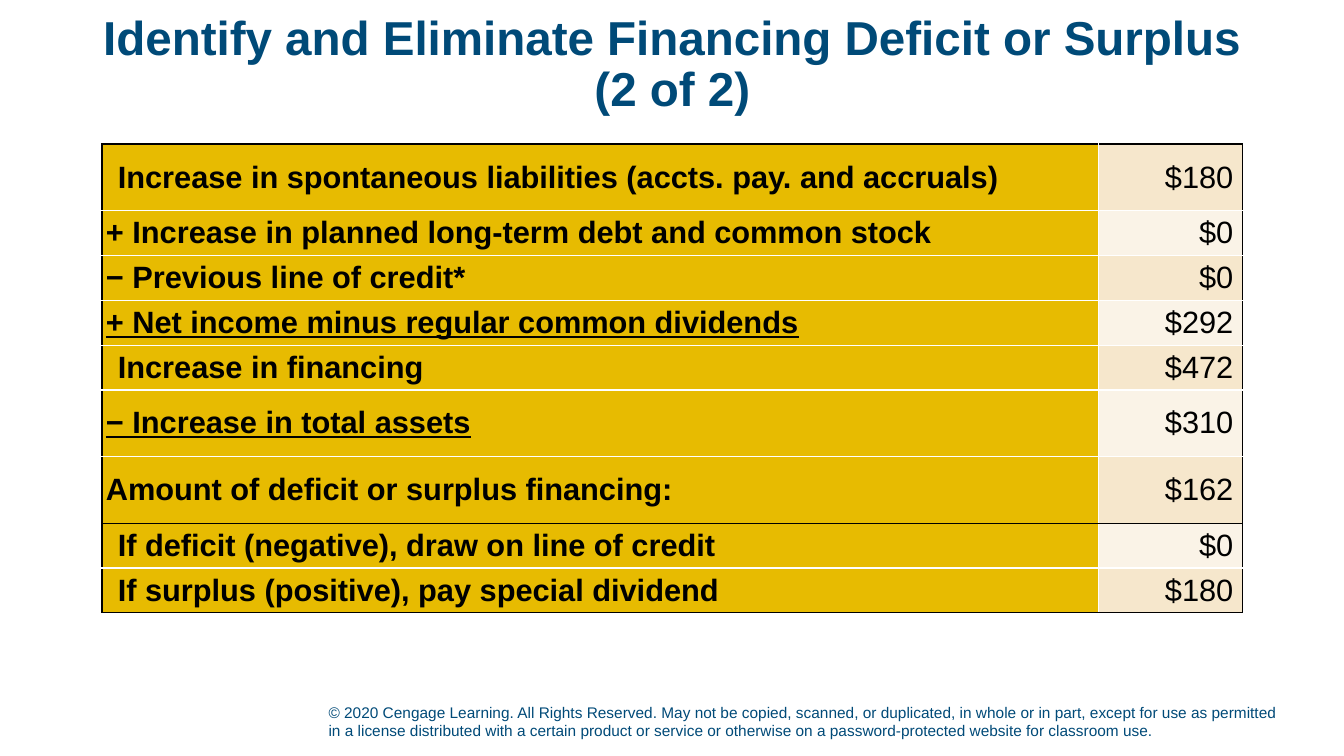
from typing import NamedTuple

from lxml import etree
from pptx import Presentation
from pptx.dml.color import RGBColor
from pptx.enum import text as t
from pptx.oxml import ns
from pptx.util import Cm, Pt

NAVY, BLACK, WHITE = "004A78", "000000", "FFFFFF"
GOLD, BANDS = "E7BB01", ("F6E7CC", "FAF3E7")
TALL, SHORT = 1.68, 1.13
LABEL_WIDTH, AMOUNT_WIDTH = 25.12, 3.63
STEP_INDENT = 0.3


class Line(NamedTuple):
    label: str
    amount: str
    height: float = SHORT
    indented: bool = False
    underlined: bool = False
    rule_below: bool = False


LINES = [
    Line("Increase in spontaneous liabilities (accts. pay. and accruals)", "$180", TALL, indented=True),
    Line("+ Increase in planned long-term debt and common stock", "$0"),
    Line("− Previous line of credit*", "$0"),
    Line("+ Net income minus regular common dividends", "$292", underlined=True),
    Line("Increase in financing", "$472", indented=True),
    Line("− Increase in total assets", "$310", TALL, underlined=True),
    Line("Amount of deficit or surplus financing:", "$162", TALL, rule_below=True),
    Line("If deficit (negative), draw on line of credit", "$0", indented=True),
    Line("If surplus (positive), pay special dividend", "$180", indented=True, rule_below=True),
]


def rgb(value: str) -> RGBColor:
    return RGBColor.from_string(value)


def set_font(para, size: float, color: str, bold: bool = False) -> None:
    font = para.font
    font.name, font.size, font.bold = "Arial", Pt(size), bold
    font.color.rgb = rgb(color)


def place(shape, left: float, top: float, width: float, height: float) -> None:
    """Set the shape's box, in centimetres."""
    shape.left, shape.top = Cm(left), Cm(top)
    shape.width, shape.height = Cm(width), Cm(height)


def set_borders(cell, left: str, right: str, top: str, bottom: str) -> None:
    """Add 1 pt borders ahead of the cell's fill, as the schema requires."""
    properties = cell._tc.get_or_add_tcPr()
    sides = {"a:lnL": left, "a:lnR": right, "a:lnT": top, "a:lnB": bottom}
    for position, (tag, color) in enumerate(sides.items()):
        border = etree.Element(ns.qn(tag), w=str(Pt(1)))
        fill = etree.SubElement(border, ns.qn("a:solidFill"))
        etree.SubElement(fill, ns.qn("a:srgbClr"), val=color)
        properties.insert(position, border)


def fill_cell(cell, words: str, fill: str, margin: float, bold: bool):
    """Format one table cell and return its paragraph."""
    cell.text = words
    cell.fill.solid()
    cell.fill.fore_color.rgb = rgb(fill)
    cell.vertical_anchor = t.MSO_ANCHOR.MIDDLE
    cell.margin_left = cell.margin_right = Cm(margin)
    cell.margin_top = cell.margin_bottom = 0
    para = cell.text_frame.paragraphs[0]
    set_font(para, 22, BLACK, bold)
    return para


def add_title(page) -> None:
    title = page.shapes.title
    place(title, 2.34, 0.38, 29.21, 2.54)
    frame = title.text_frame
    frame.text = "Identify and Eliminate Financing Deficit or Surplus (2 of 2)"
    frame.auto_size = t.MSO_AUTO_SIZE.NONE
    frame.vertical_anchor = t.MSO_ANCHOR.MIDDLE
    para = frame.paragraphs[0]
    para.alignment = t.PP_ALIGN.CENTER
    para.line_spacing = 0.9
    set_font(para, 34, NAVY, bold=True)


def add_financing_table(page) -> None:
    table = page.shapes.add_table(
        len(LINES), 2, Cm(2.57), Cm(3.63),
        Cm(LABEL_WIDTH + AMOUNT_WIDTH), Cm(sum(line.height for line in LINES)),
    ).table
    table.columns[0].width, table.columns[1].width = Cm(LABEL_WIDTH), Cm(AMOUNT_WIDTH)
    top = BLACK
    for index, line in enumerate(LINES):
        table.rows[index].height = Cm(line.height)
        bottom = BLACK if line.rule_below else WHITE

        label = table.cell(index, 0)
        para = fill_cell(label, line.label, GOLD, 0.1, bold=True)
        para.font.underline = line.underlined
        if line.indented:
            para._p.get_or_add_pPr().set("indent", str(Cm(STEP_INDENT)))
        set_borders(label, BLACK, WHITE, top, bottom)

        amount = table.cell(index, 1)
        para = fill_cell(amount, line.amount, BANDS[index % 2], 0.24, bold=False)
        para.alignment = t.PP_ALIGN.RIGHT
        set_borders(amount, WHITE, BLACK, top, bottom)
        top = bottom


def add_copyright(page) -> None:
    box = page.shapes.add_textbox(Cm(8.03), Cm(17.5), Cm(24.46), Cm(1.27))
    frame = box.text_frame
    frame.word_wrap = True
    frame.vertical_anchor = t.MSO_ANCHOR.BOTTOM
    frame.text = (
        "© 2020 Cengage Learning. All Rights Reserved. May not be copied, scanned, or "
        "duplicated, in whole or in part, except for use as permitted in a license "
        "distributed with a certain product or service or otherwise on a "
        "password-protected website for classroom use."
    )
    set_font(frame.paragraphs[0], 11, NAVY)


def main() -> None:
    deck = Presentation()
    deck.slide_width, deck.slide_height = Cm(33.87), Cm(19.05)
    page = deck.slides.add_slide(deck.slide_layouts.get_by_name("Title Only"))
    add_copyright(page)
    add_title(page)
    add_financing_table(page)
    deck.save("out.pptx")


if __name__ == "__main__":
    main()
